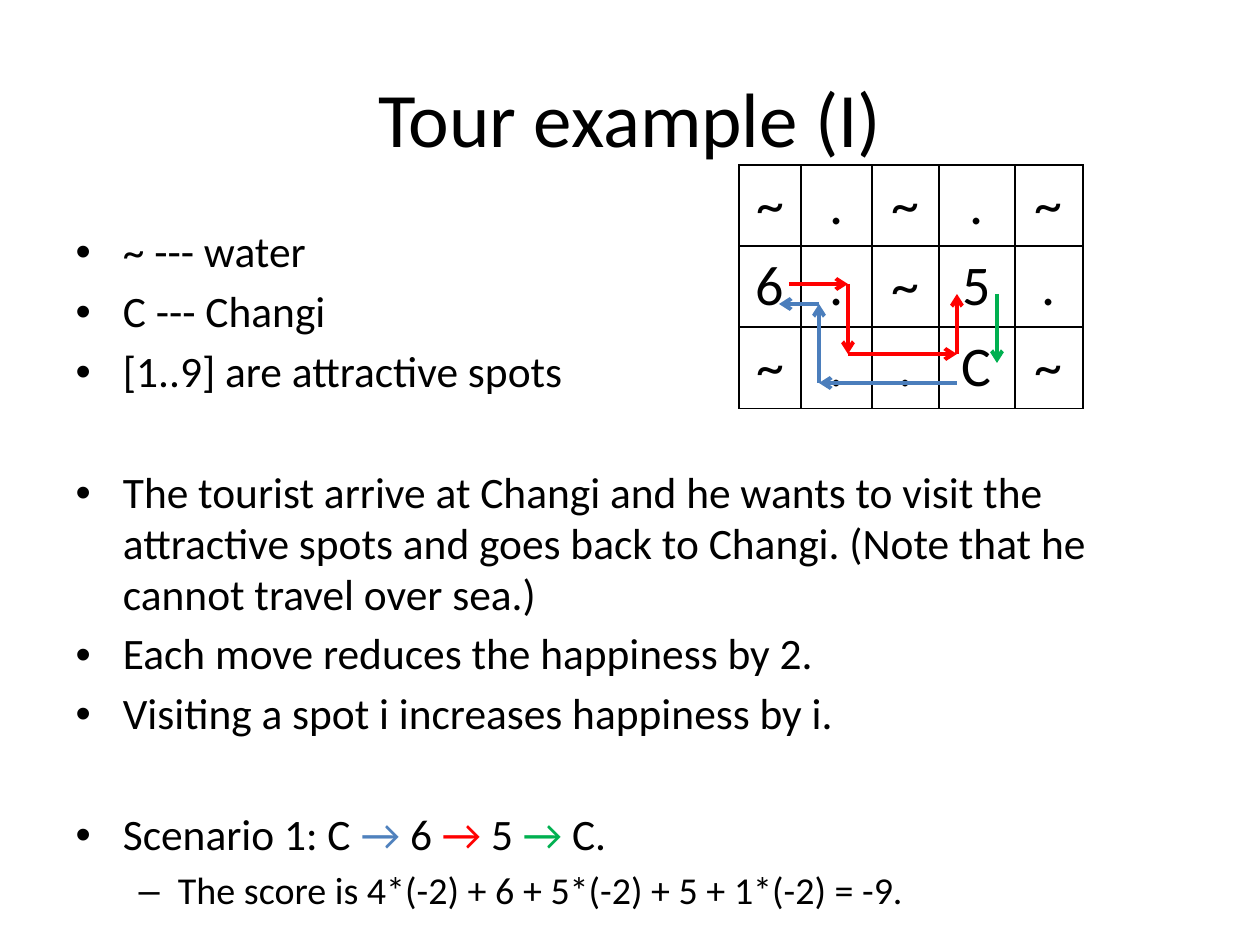
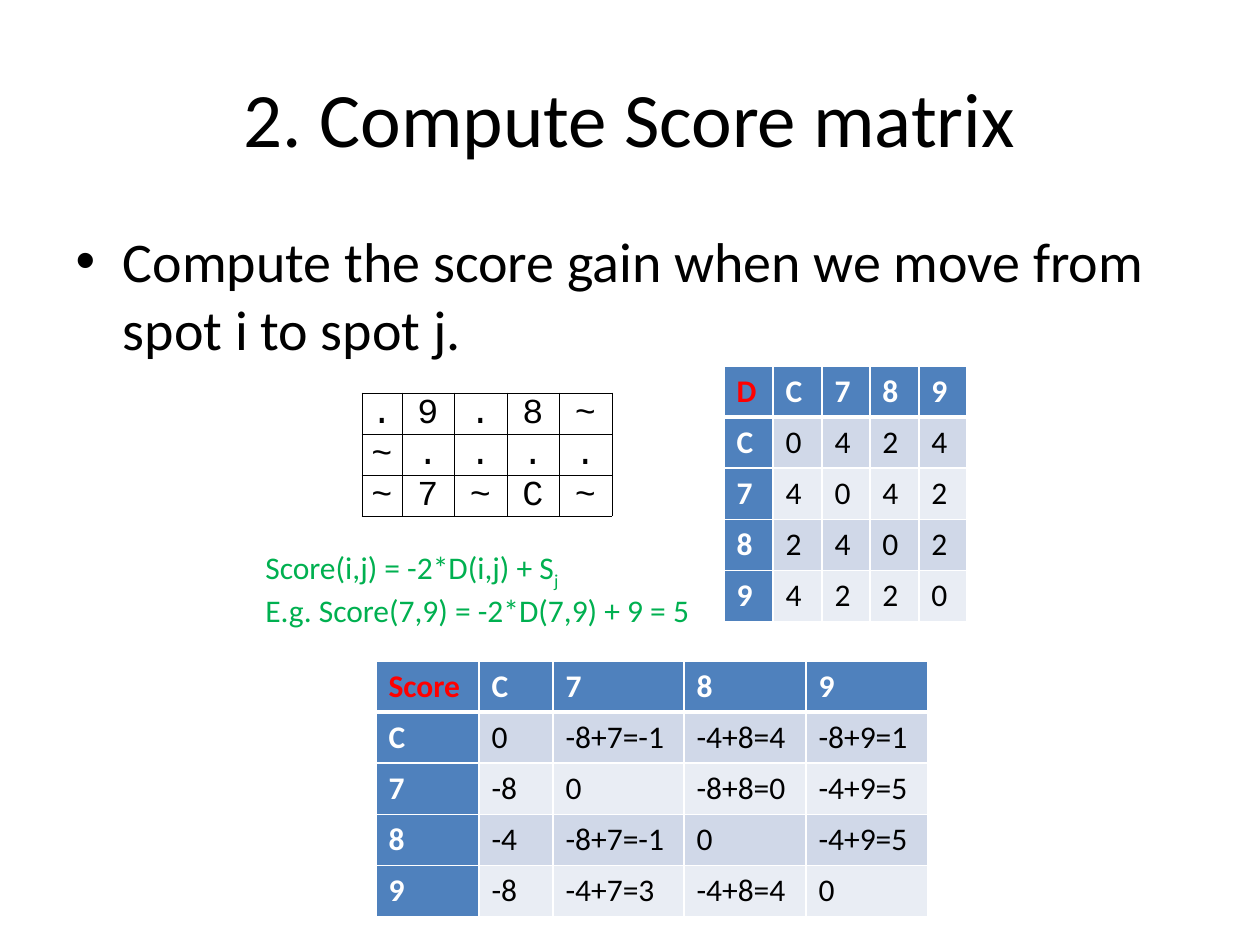
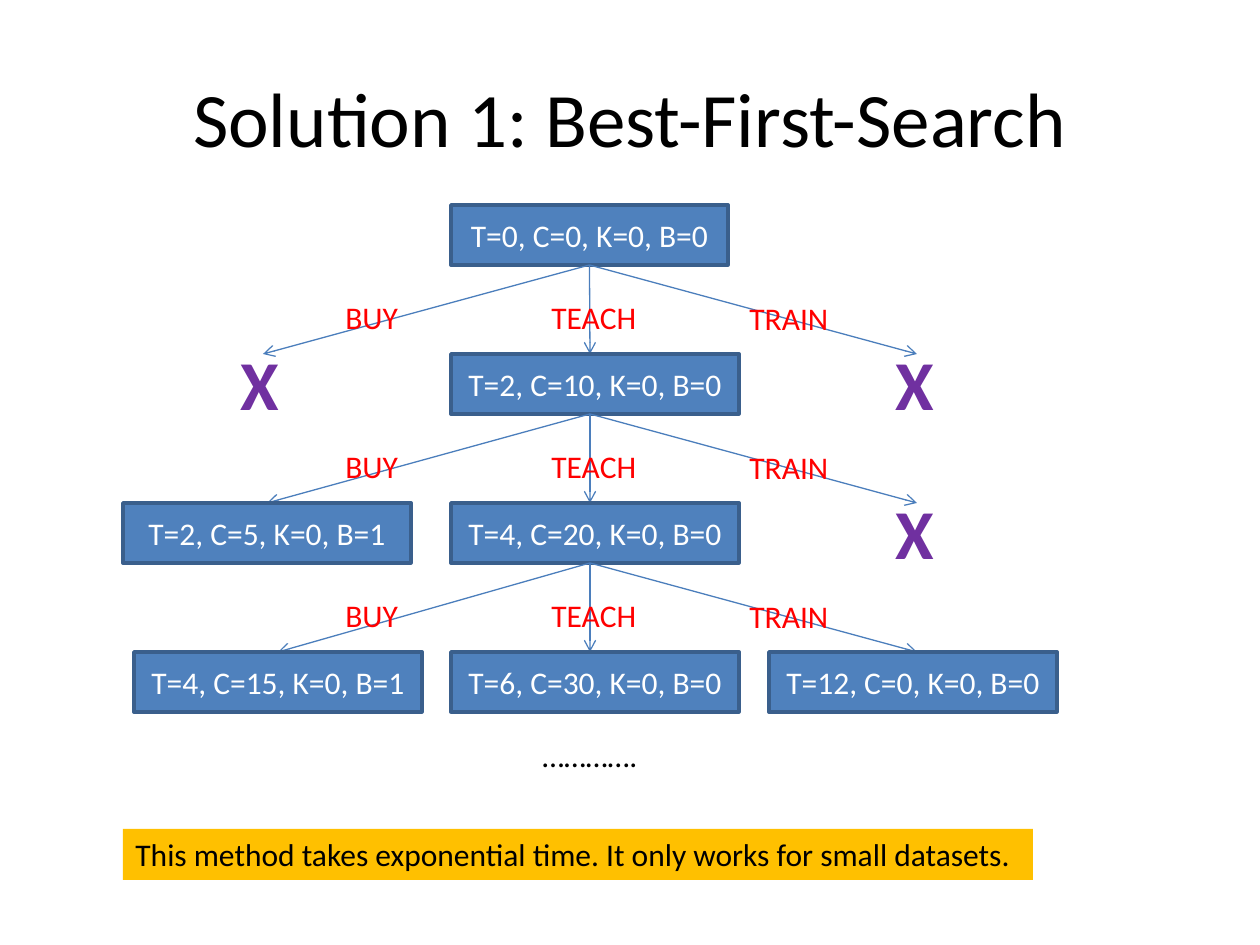
"""Build three slides on tour planning and best-first search."""
from itertools import pairwise

from lxml import etree
from pptx import Presentation
from pptx.dml.color import RGBColor
from pptx.enum.shapes import MSO_CONNECTOR, MSO_SHAPE
from pptx.enum.text import MSO_ANCHOR, MSO_AUTO_SIZE, PP_ALIGN
from pptx.oxml.ns import qn
from pptx.util import Emu, Pt

STRAIGHT, RECTANGLE = MSO_CONNECTOR.STRAIGHT, MSO_SHAPE.RECTANGLE
TOP, MIDDLE, BOTTOM = MSO_ANCHOR.TOP, MSO_ANCHOR.MIDDLE, MSO_ANCHOR.BOTTOM
LEFT, CENTER = PP_ALIGN.LEFT, PP_ALIGN.CENTER
NO_FIT, GROW = MSO_AUTO_SIZE.NONE, MSO_AUTO_SIZE.SHAPE_TO_FIT_TEXT
TITLE_AND_BODY, TITLE_ONLY = 1, 5
TOP_SIDE, BOTTOM_SIDE = 0, 2

FONT, MONO = "Calibri", "Courier New"
BLACK, WHITE, BLUE, RED = "000000", "FFFFFF", "4F81BD", "FF0000"
GREEN, PURPLE, AMBER = "00B050", "7030A0", "FFC000"
LINE_BLUE, EDGE_BLUE = "4B7EBC", "3A5F8C"
BANDS = ("D0D8E8", "E9EDF4")

TOUR_ITEMS = [
    ("~ --- water", 0, False),
    ("C --- Changi", 0, False),
    ("[1..9] are attractive spots", 0, False),
    ("The tourist arrive at Changi and he wants to visit the attractive spots and "
     "goes back to Changi. (Note that he cannot travel over sea.)", 0, True),
    ("Each move reduces the happiness by 2.", 0, False),
    ("Visiting a spot i increases happiness by i.", 0, False),
    ([("Scenario 1: C ", BLACK), ("→", BLUE), (" 6 ", BLACK), ("→", RED),
      (" 5 ", BLACK), ("→", GREEN), (" C.", BLACK)], 0, True),
    ("The score is 4*(-2) + 6 + 5*(-2) + 5 + 1*(-2) = -9.", 1, False),
]
TOUR_SIZES = (24.8, 21.7)
TOUR_MAP = ["~.~.~", "6.~5.", "~..C~"]
TOUR_LEGS = [
    (LINE_BLUE, [(957, 383), (819, 383), (819, 304), (779, 304)]),
    (RED, [(789, 284), (848, 284), (848, 354), (957, 354), (957, 294)]),
    (GREEN, [(997, 294), (997, 363)]),
]

SCORE_ITEM = "Compute the score gain when we move from spot i to spot j."
SCORE_MAP = [".9.8~", "~....", "~7~C~"]
DISTANCES = ["DC789", "C0424", "74042", "82402", "94220"]
SCORES = [
    ("Score", "C", "7", "8", "9"),
    ("C", "0", "-8+7=-1", "-4+8=4", "-8+9=1"),
    ("7", "-8", "0", "-8+8=0", "-4+9=5"),
    ("8", "-4", "-8+7=-1", "0", "-4+9=5"),
    ("9", "-8", "-4+7=3", "-4+8=4", "0"),
]
FORMULA = ["Score(i,j) = -2*D(i,j) + S", "E.g. Score(7,9) = -2*D(7,9) + 9 = 5"]

ROOT_STATE = "T=0, C=0, K=0, B=0"
ACTIONS = [("BUY", 333, 292, 78), ("TEACH", 539, 292, 111), ("TRAIN", 737, 293, 105)]
TREE_LEVELS = [
    {"ends": (263, 590, 917),
     "states": [(451, "T=2, C=10, K=0, B=0")], "dead": (228, 883)},
    {"ends": (268, 590, 917),
     "states": [(123, "T=2, C=5, K=0, B=1"), (451, "T=4, C=20, K=0, B=0")],
     "dead": (883,)},
    {"ends": (278, 590, 917),
     "states": [(134, "T=4, C=15, K=0, B=1"), (451, "T=6, C=30, K=0, B=0"),
                (769, "T=12, C=0, K=0, B=0")], "dead": ()},
]
ROOT_TOP, LEVEL_STEP, STATE_HEIGHT, TRUNK = 205, 149, 60, 590
REMARK = "This method takes exponential time. It only works for small datasets."


def px(length):
    """Turn pixels at 126 to the inch into EMU."""
    return Emu(round(length * 914400 / 126))


def rgb(value):
    """Turn a hex string into a colour."""
    return RGBColor.from_string(value)


def add_run(para, text, size, color=BLACK, bold=False, font=FONT):
    """Append one formatted run."""
    span = para.add_run()
    span.text = text
    span.font.name, span.font.size, span.font.bold = font, Pt(size), bold
    span.font.color.rgb = rgb(color)
    return span


def new_page(deck, layout, title):
    """Add a slide with its title."""
    page = deck.slides.add_slide(deck.slide_layouts[layout])
    add_run(page.shapes.title.text_frame.paragraphs[0], title, 44)
    return page


def write(shape, text, size, color, bold=False, align=LEFT, anchor=TOP):
    """Write one unwrapped paragraph into a shape."""
    frame = shape.text_frame
    frame.word_wrap, frame.vertical_anchor = False, anchor
    para = frame.paragraphs[0]
    para.alignment = align
    add_run(para, text, size, color, bold)


def add_label(page, left, top, width, height, text, size, color, bold=False):
    """Add a text box that fits its text."""
    box = page.shapes.add_textbox(px(left), px(top), px(width), px(height))
    write(box, text, size, color, bold)
    box.text_frame.auto_size = GROW
    return box


def add_box(page, left, top, width, height, fill, edge=None):
    """Add a flat rectangle."""
    box = page.shapes.add_shape(RECTANGLE, px(left), px(top), px(width), px(height))
    box.shadow.inherit = False
    box.fill.solid()
    box.fill.fore_color.rgb = rgb(fill)
    if edge:
        box.line.color.rgb, box.line.width = rgb(edge), Pt(2)
    else:
        box.line.fill.background()
    return box


def add_state(page, left, top, text, width=288):
    """Add one search state."""
    box = add_box(page, left, top, width, STATE_HEIGHT, BLUE, EDGE_BLUE)
    write(box, text, 18, WHITE, align=CENTER, anchor=MIDDLE)
    return box


def add_arrow(page, start, end, color, weight):
    """Add a straight arrow between two points."""
    arrow = page.shapes.add_connector(STRAIGHT, *map(px, (*start, *end)))
    arrow.line.color.rgb, arrow.line.width = rgb(color), Pt(weight)
    etree.SubElement(arrow.line._get_or_add_ln(), qn("a:tailEnd"), type="arrow")
    etree.SubElement(arrow._element.spPr, qn("a:effectLst"))
    return arrow


def is_middle(box, x):
    """Tell whether x lies at the middle of a box."""
    return abs(box.left + box.width // 2 - x) <= px(2)


def set_borders(cell, color, weights):
    """Draw the left, right, top and bottom borders of a cell."""
    props = cell._tc.get_or_add_tcPr()
    for side, weight in zip("LRTB", weights):
        line = etree.SubElement(props, qn(f"a:ln{side}"), w=str(Pt(weight)))
        solid = etree.SubElement(line, qn("a:solidFill"))
        etree.SubElement(solid, qn("a:srgbClr"), val=color)


def add_grid(page, left, top, widths, row_height, rows):
    """Add an unstyled table and yield its cells with row, column and paragraph."""
    frame = page.shapes.add_table(len(rows), len(widths), px(left), px(top),
                                  px(sum(widths)), px(row_height * len(rows)))
    table = frame.table
    table.first_row = table.horz_banding = False
    for column, width in zip(table.columns, widths):
        column.width = px(width)
    for r, row in enumerate(rows):
        table.rows[r].height = px(row_height)
        for c, text in enumerate(row):
            cell = table.cell(r, c)
            yield cell, r, c, text, cell.text_frame.paragraphs[0]


def add_map(page, left, top, widths, row_height, rows, size, font, weight, tight=False):
    """Add a map of the island as an outlined table."""
    for cell, _, _, text, para in add_grid(page, left, top, widths, row_height, rows):
        set_borders(cell, BLACK, [weight] * 4)
        cell.fill.background()
        cell.vertical_anchor = BOTTOM if tight else MIDDLE
        if tight:
            cell.margin_left = cell.margin_right = cell.margin_top = px(1)
            cell.margin_bottom = 0
        para.alignment = CENTER
        add_run(para, text, size, font=font)


def add_matrix(page, left, top, widths, rows):
    """Add a banded matrix with header row and column."""
    for cell, r, c, text, para in add_grid(page, left, top, widths, 51, rows):
        header = r == 0 or c == 0
        set_borders(cell, WHITE, (1, 1, 3 if r == 1 else 1, 3 if r == 0 else 1))
        cell.fill.solid()
        cell.fill.fore_color.rgb = rgb(BLUE if header else BANDS[(r - 1) % 2])
        color = RED if r == c == 0 else WHITE if header else BLACK
        add_run(para, text, 18, color, header)


def build_tour(deck):
    """Build the tour example."""
    page = new_page(deck, TITLE_AND_BODY, "Tour example (I)")
    frame = page.placeholders[1].text_frame
    frame.auto_size = NO_FIT
    for i, (content, level, spaced) in enumerate(TOUR_ITEMS):
        para = frame.add_paragraph() if i else frame.paragraphs[0]
        para.level, para.line_spacing = level, 0.98
        if spaced:
            para.space_before = Pt(40)
        spans = [(content, BLACK)] if isinstance(content, str) else content
        for text, color in spans:
            add_run(para, text, TOUR_SIZES[level], color)
    add_map(page, 739, 165, (62, 71, 67, 76, 68), 81, TOUR_MAP, 32, FONT, 1)
    for color, stops in TOUR_LEGS:
        for start, end in pairwise(stops):
            add_arrow(page, start, end, color, 2.25)


def build_scores(deck):
    """Build the score matrix."""
    page = new_page(deck, TITLE_AND_BODY, "2. Compute Score matrix")
    frame = page.placeholders[1].text_frame
    frame.auto_size = NO_FIT
    add_run(frame.paragraphs[0], SCORE_ITEM, 32)
    add_matrix(page, 376, 661, (103, 74, 131, 122, 122), SCORES)
    add_matrix(page, 724, 366, (49, 49, 48, 49, 48), DISTANCES)
    add_map(page, 362, 393, (40, 52, 53, 52, 53), 41, SCORE_MAP, 20, MONO, 0.5, True)
    box = add_label(page, 253, 542, 455, 89, FORMULA[0], 18, GREEN)
    index = add_run(box.text_frame.paragraphs[0], "j", 18, GREEN)
    index.font._element.set("baseline", "-25000")
    add_run(box.text_frame.add_paragraph(), FORMULA[1], 18, GREEN)


def build_search(deck):
    """Build the search tree."""
    page = new_page(deck, TITLE_ONLY, "Solution 1: Best-First-Search")
    parent = add_state(page, 451, ROOT_TOP, ROOT_STATE, 277)
    for depth, level in enumerate(TREE_LEVELS):
        shift = depth * LEVEL_STEP
        top = ROOT_TOP + shift + LEVEL_STEP
        start = (TRUNK, ROOT_TOP + shift + STATE_HEIGHT)
        arrows = [add_arrow(page, start, (x, top), LINE_BLUE, 0.75)
                  for x in level["ends"]]
        for action, left, label_top, width in ACTIONS:
            add_label(page, left, label_top + shift, width, 50, action, 18, RED)
        states = [add_state(page, left, top, text) for left, text in level["states"]]
        for left in level["dead"]:
            add_label(page, left, top - 20, 64, 97, "X", 40, PURPLE, True)
        for arrow in arrows:
            if is_middle(parent, arrow.begin_x):
                arrow.begin_connect(parent, BOTTOM_SIDE)
            for state in states:
                if is_middle(state, arrow.end_x):
                    arrow.end_connect(state, TOP_SIDE)
        parent = next(box for box in states if box.left == px(451))
    add_label(page, 530, 730, 121, 50, "………….", 18, BLACK)
    write(add_box(page, 123, 829, 910, 51, AMBER), REMARK, 18, BLACK)


def main():
    """Build and save the deck."""
    deck = Presentation()
    deck.slide_width, deck.slide_height = px(1260), px(945)
    build_tour(deck)
    build_scores(deck)
    build_search(deck)
    deck.save("out.pptx")


if __name__ == "__main__":
    main()
